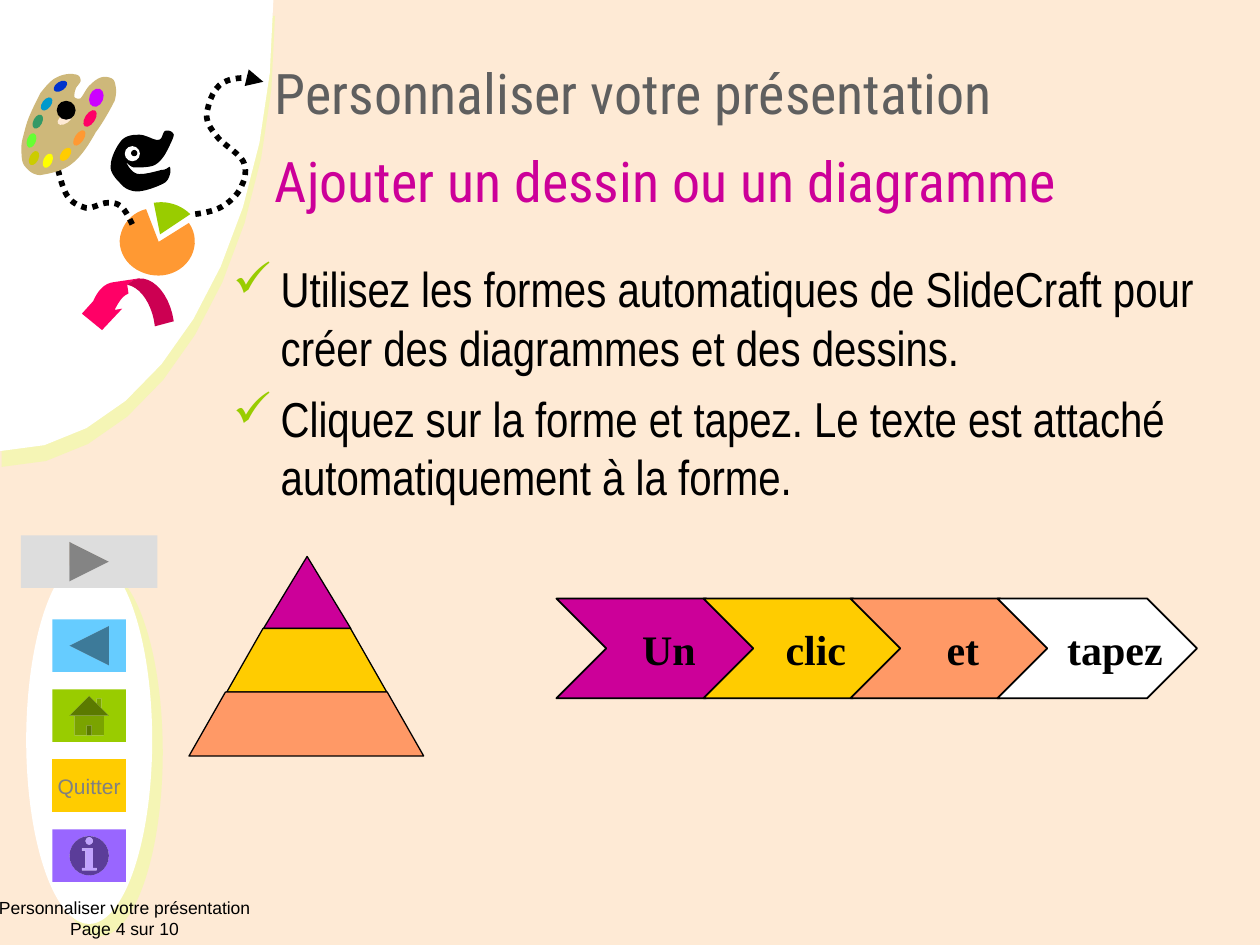
"""Builds a slide on adding drawings and diagrams, with navigation buttons and decorative artwork."""
from lxml.etree import SubElement
from pptx import Presentation
from pptx.dml.color import RGBColor
from pptx.enum.dml import MSO_LINE
from pptx.enum.shapes import MSO_SHAPE
from pptx.enum.text import MSO_ANCHOR, MSO_AUTO_SIZE, PP_ALIGN
from pptx.oxml.ns import qn
from pptx.util import Inches, Pt

COLORS = {
    "background": "FEEAD5", "white": "FFFFFF", "black": "000000", "pale": "F5F5B5",
    "orange": "FF9933", "green": "99CC00", "pink": "FF0066", "crimson": "CC0052",
    "sky": "66CCFF", "gold": "FFCC00", "silver": "DDDDDD", "violet": "9966FF",
    "gray": "808080", "slate": "5F5F5F", "magenta": "CC0099", "salmon": "FF9966",
    "wood": "CEB87A", "blue": "0033CC", "teal": "0099CC", "sea": "339966",
    "lime": "66FF33", "olive": "CCCC00", "purple": "CC00FF", "yellow": "FFFF00",
}
COLUMNS, ROWS = 120, 90
CELL, FINE = Inches(10) / COLUMNS, Inches(0.01)

TITLE = [("Personnaliser votre présentation", "slate"), ("Ajouter un dessin ou un diagramme", "magenta")]
BULLETS = [
    "Utilisez les formes automatiques de SlideCraft pour créer des diagrammes et des dessins.",
    "Cliquez sur la forme et tapez. Le texte est attaché automatiquement à la forme.",
]
FOOTER = ["Personnaliser votre présentation", "Page 4 sur 10"]
STEPS = [("Un", "magenta", 0.3), ("clic", "gold", 0.3), ("et", "salmon", 0.3), ("tapez", "white", 0.38)]
BUTTONS = [
    (MSO_SHAPE.ACTION_BUTTON_BACK_OR_PREVIOUS, "sky", ""),
    (MSO_SHAPE.ACTION_BUTTON_HOME, "green", ""),
    (MSO_SHAPE.ACTION_BUTTON_CUSTOM, "gold", "Quitter"),
    (MSO_SHAPE.ACTION_BUTTON_INFORMATION, "violet", ""),
]
TIERS = [
    (MSO_SHAPE.ISOSCELES_TRIANGLE, "magenta", (25.1, 53, 8.3, 6.85), 0.5),
    (MSO_SHAPE.TRAPEZOID, "gold", (21.6, 59.85, 15.24, 6.06), 0.57),
    (MSO_SHAPE.TRAPEZOID, "salmon", (18, 65.91, 22.35, 6.09), 0.57),
]

CORNER = [(0, 358), (120, 358, 217, 198, 217, 0), (0, 0)]
PIE = [(116, 166), (104, 169, 96, 179, 95, 191), (95, 203, 103, 213, 115, 217),
       (127, 221, 140, 218, 148, 209), (156, 200, 157, 187, 150, 177), (126, 192)]
SLICE = [(151, 170), (144, 163, 133, 159, 122, 161), (127, 186)]
BIRD = [(126, 111), (123, 112, 116, 107, 111, 107), (107, 107, 101, 107, 97, 111),
        (93, 115, 88, 125, 88, 131), (87, 136, 91, 141, 95, 145), (98, 149, 103, 152, 109, 152),
        (115, 152, 126, 148, 131, 145), (135, 142, 136, 135, 135, 133),
        (135, 131, 133, 135, 128, 135), (124, 136, 114, 139, 109, 138),
        (104, 137, 100, 129, 100, 128), (99, 127, 103, 133, 107, 133),
        (111, 133, 119, 133, 123, 131), (128, 128, 131, 123, 133, 119),
        (135, 115, 138, 109, 138, 107), (137, 104, 133, 103, 131, 104),
        (129, 105, 129, 111, 126, 111)]
ARROW = [(110, 221), (90, 224), (83, 225, 78, 230, 74, 239), (65, 249), (81, 262), (97, 245),
         (91, 246), (94, 240, 97, 235, 102, 233), (101, 226), (105, 223)]
ARROW_BACK = [(138, 255), (135, 235, 123, 220, 110, 221), (108, 222, 106, 222, 105, 223),
              (101, 226), (112, 228, 121, 242, 123, 259)]
PALETTE = [(23, 93), (25, 88, 29, 80, 32, 74), (36, 69, 40, 64, 44, 62), (49, 59, 56, 58, 59, 59),
           (62, 59, 64, 61, 64, 64), (64, 66, 60, 69, 60, 71), (59, 73, 59, 76, 59, 77),
           (60, 78, 62, 79, 64, 78), (66, 76, 69, 69, 72, 67), (75, 64, 79, 61, 83, 61),
           (86, 61, 90, 62, 91, 65), (92, 69, 93, 73, 91, 80), (88, 86, 82, 97, 76, 105),
           (71, 114, 64, 125, 57, 130), (50, 136, 38, 138, 32, 139), (26, 139, 22, 135, 19, 131),
           (17, 128, 17, 122, 17, 117), (17, 113, 18, 110, 19, 106), (20, 102, 21, 98, 23, 93)]
UPPER_TRAIL = [(155, 170), (163, 169, 172, 167, 178, 163), (184, 159, 190, 153, 192, 147),
               (195, 141, 196, 134, 193, 128), (189, 121, 176, 114, 172, 108),
               (167, 102, 164, 97, 164, 91), (165, 84, 168, 74, 173, 69),
               (177, 64, 186, 62, 192, 62), (198, 61, 204, 63, 209, 65)]
LOWER_TRAIL = [(105, 178), (102, 172, 99, 166, 96, 164), (93, 161, 89, 161, 85, 161),
               (80, 161, 73, 166, 68, 165), (62, 163, 56, 161, 52, 153),
               (48, 145, 44, 127, 43, 118), (43, 108, 46, 101, 50, 94)]
EYE = [("white", (99, 116, 12, 12), 0), ("black", (104, 119, 5, 5), 0)]
DABS = [
    ("blue", (42, 65, 12, 7), 326.7), ("teal", (31, 79, 12, 7), 307.4),
    ("sea", (24, 93, 12, 7), 297.1), ("lime", (19, 108, 12, 7), 290.3),
    ("olive", (21, 122, 12, 7), 296.1), ("gold", (46, 119, 12, 7), 306.6),
    ("orange", (56, 106, 14, 7), 303.9), ("pink", (64, 90, 15, 8), 303.4),
    ("purple", (69, 72, 15, 11), 291.2), ("yellow", (32, 124, 12, 7), 295.1),
    ("background", (45, 91, 13, 7), 326.7), ("black", (45, 80, 15, 15), 0),
]

deck = Presentation()
deck.slide_width, deck.slide_height = round(COLUMNS * CELL), round(ROWS * CELL)
slide = deck.slides.add_slide(deck.slide_layouts[6])
shapes = slide.shapes


def rgb(name):
    return RGBColor.from_string(COLORS[name])


def place(box, unit):
    return [round(length * unit) for length in box]


def paint(shape, fill=None, line=None, width=0.75):
    shape.shadow.inherit = False
    if fill:
        shape.fill.solid()
        shape.fill.fore_color.rgb = rgb(fill)
    else:
        shape.fill.background()
    if line:
        shape.line.color.rgb = rgb(line)
        shape.line.width = Pt(width)
    else:
        shape.line.fill.background()
    return shape


def preset(kind, box, fill, line=None, unit=CELL, width=0.75):
    return paint(shapes.add_shape(kind, *place(box, unit)), fill, line, width)


def trace(outline, closed=True, steps=10):
    points = [outline[0]]
    for segment in outline[1:]:
        if len(segment) == 2:
            points.append(segment)
            continue
        start = points[-1]
        for step in range(1, steps + 1):
            t = step / steps
            weights = ((1 - t) ** 3, 3 * t * (1 - t) ** 2, 3 * t * t * (1 - t), t ** 3)
            knots = (start, segment[:2], segment[2:4], segment[4:])
            points.append(tuple(sum(w * knot[axis] for w, knot in zip(weights, knots)) for axis in (0, 1)))
    vertices = [place(point, FINE) for point in points]
    builder = shapes.build_freeform(*vertices[0], scale=1.0)
    builder.add_line_segments(vertices[1:], close=closed)
    return builder.convert_to_shape()


def cast_shadow(shape, distance, angle):
    effects = shape._element.spPr.find(qn("a:effectLst"))
    outer = SubElement(effects, qn("a:outerShdw"), blurRad="0", dist=str(Pt(distance)),
                       dir=str(angle * 60000), algn="ctr", rotWithShape="0")
    SubElement(outer, qn("a:srgbClr"), val=COLORS["pale"])


def trail(outline, end):
    path_line = paint(trace(outline, closed=False), line="black", width=3.25)
    path_line.line.dash_style = MSO_LINE.ROUND_DOT
    SubElement(path_line._element.spPr.find(qn("a:ln")), qn("a:tailEnd"), type=end)


def dots(items):
    for color, box, angle in items:
        preset(MSO_SHAPE.OVAL, box, color, unit=FINE).rotation = angle


def add_run(paragraph, text, font, size, color, bold=False):
    run = paragraph.add_run()
    run.text = text
    run.font.name, run.font.size, run.font.bold = font, Pt(size), bold
    run.font.color.rgb = rgb(color)


def label(shape, text, font, size, color, left=0.1, bold=False):
    frame = shape.text_frame
    frame.word_wrap = False
    frame.vertical_anchor = MSO_ANCHOR.MIDDLE
    frame.margin_left = Inches(left)
    frame.paragraphs[0].alignment = PP_ALIGN.CENTER
    add_run(frame.paragraphs[0], text, font, size, color, bold)


def text_area(box, wrap=True):
    frame = shapes.add_textbox(*place(box, CELL)).text_frame
    frame.word_wrap = wrap
    return frame


slide.background.fill.solid()
slide.background.fill.fore_color.rgb = rgb("background")

cast_shadow(preset(MSO_SHAPE.OVAL, (2.5, 53, 12, 35), "white"), 9.2, 49)
cast_shadow(paint(trace(CORNER), "white"), 9.1, 84)
for outline, color in [(PIE, "orange"), (SLICE, "green"), (BIRD, "black"),
                       (ARROW, "pink"), (ARROW_BACK, "crimson")]:
    paint(trace(outline), color)
dots(EYE)
trail(UPPER_TRAIL, "triangle")

for index, (kind, color, caption) in enumerate(BUTTONS):
    button = preset(kind, (5, 59 + index * 20 / 3, 7, 5), color)
    if caption:
        label(button, caption, "Arial", 12, "gray")
preset(MSO_SHAPE.ACTION_BUTTON_FORWARD_OR_NEXT, (2, 51, 13, 5), "silver")

heading = text_area((25, 3, 91, 18))
heading.vertical_anchor = MSO_ANCHOR.MIDDLE
heading.paragraphs[0].line_spacing = 1.3
for index, (line, color) in enumerate(TITLE):
    if index:
        heading.paragraphs[0].add_line_break()
    add_run(heading.paragraphs[0], line, "Roboto Condensed", 32, color)

body = text_area((21, 24, 96, 63))
for index, sentence in enumerate(BULLETS):
    paragraph = body.add_paragraph() if index else body.paragraphs[0]
    properties = paragraph._p.get_or_add_pPr()
    properties.set("marL", str(Inches(0.38)))
    properties.set("indent", str(-Inches(0.38)))
    SubElement(SubElement(properties, qn("a:buClr")), qn("a:srgbClr"), val=COLORS["green"])
    SubElement(properties, qn("a:buChar"), char="✓")
    paragraph.space_before = Pt(7 if index else 0)
    add_run(paragraph, sentence, "Arial Narrow", 28, "black")

trail(LOWER_TRAIL, "oval")
paint(trace(PALETTE), "wood")
dots(DABS)

footer = text_area((-0.1, 84.8, 23.9, 5.3), wrap=False)
footer.margin_left = footer.margin_right = 0
footer.auto_size = MSO_AUTO_SIZE.SHAPE_TO_FIT_TEXT
footer.paragraphs[0].alignment = PP_ALIGN.CENTER
for index, line in enumerate(FOOTER):
    if index:
        footer.paragraphs[0].add_line_break()
    add_run(footer.paragraphs[0], line, "Arial", 10, "black")

for index, (word, color, left) in enumerate(STEPS):
    chevron = preset(MSO_SHAPE.CHEVRON, (53 + 14 * index, 57, 19, 9.5), color, "black", width=1)
    label(chevron, word, "Times New Roman", 24, "black", left, bold=True)

for kind, color, box, slope in TIERS:
    preset(kind, box, color, "black").adjustments[0] = slope

deck.save("out.pptx")
